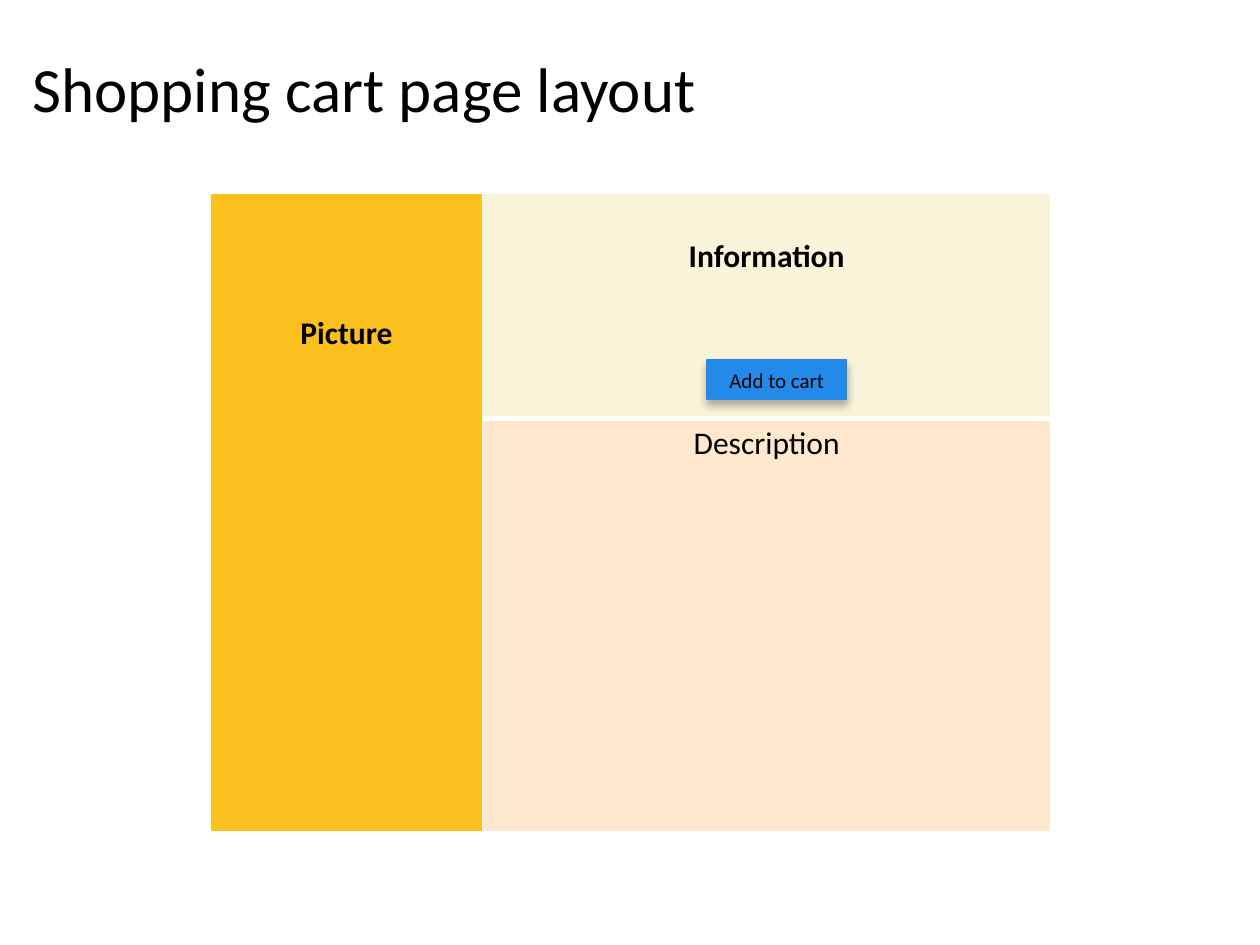
from lxml.etree import SubElement
from pptx import Presentation
from pptx.dml.color import RGBColor
from pptx.enum.shapes import MSO_SHAPE
from pptx.enum.text import MSO_ANCHOR, PP_ALIGN
from pptx.oxml.ns import qn
from pptx.util import Inches, Pt

FONT = "Calibri"
LINE_HEIGHT = 0.305  # one line of 18 pt text, in inches
COLUMNS = (2.16, 4.51)
ROWS = (1.79, 3.28)
TABLE_LEFT, TABLE_TOP = 1.67, 1.53


def color(value):
    return RGBColor.from_string(value)


def write(frame, text, size, bold=False, align=PP_ALIGN.LEFT):
    frame.word_wrap = True
    paragraph = frame.paragraphs[0]
    paragraph.alignment = align
    run = paragraph.add_run()
    run.text = text
    run.font.name = FONT
    run.font.size = Pt(size)
    run.font.bold = bold
    run.font.color.rgb = color("000000")


def add_title(slide, text):
    box = slide.shapes.add_textbox(Inches(0.16), Inches(0.14), Inches(9.09), Inches(0.9))
    box.text_frame.vertical_anchor = MSO_ANCHOR.BOTTOM
    write(box.text_frame, text, 36)


def set_borders(cell, top=1, bottom=1):
    """Draw white cell borders, with widths in points."""
    properties = cell._tc.get_or_add_tcPr()
    for side, width in (("L", 1), ("R", 1), ("T", top), ("B", bottom)):
        line = SubElement(properties, qn(f"a:ln{side}"), w=str(Pt(width)))
        fill = SubElement(line, qn("a:solidFill"))
        SubElement(fill, qn("a:srgbClr"), val="FFFFFF")


def fill_cell(cell, text, fill, bold=True, lines_above=0):
    """Write a label below the given number of empty line heights."""
    cell.fill.solid()
    cell.fill.fore_color.rgb = color(fill)
    cell.margin_top = Inches(0.05 + lines_above * LINE_HEIGHT)
    write(cell.text_frame, text, 18, bold, PP_ALIGN.CENTER)


def add_layout_table(slide):
    table = slide.shapes.add_table(
        len(ROWS), len(COLUMNS), Inches(TABLE_LEFT), Inches(TABLE_TOP),
        Inches(sum(COLUMNS)), Inches(sum(ROWS))).table
    table.first_row = table.horz_banding = False
    for column, width in zip(table.columns, COLUMNS):
        column.width = Inches(width)
    for row, height in zip(table.rows, ROWS):
        row.height = Inches(height)

    picture, information, description = table.cell(0, 0), table.cell(0, 1), table.cell(1, 1)
    picture.merge(table.cell(1, 0))
    for cell in (picture, table.cell(1, 0)):
        set_borders(cell)
    set_borders(information, bottom=3)
    set_borders(description, top=3)
    fill_cell(picture, "Picture", "FBC01E", lines_above=3)
    fill_cell(information, "Information", "F9F3DA", lines_above=1)
    fill_cell(description, "Description", "FDE8CD", bold=False)


def add_shadow(shape):
    shape.shadow.inherit = False
    effects = shape._element.spPr.find(qn("a:effectLst"))
    shadow = SubElement(effects, qn("a:outerShdw"), blurRad=str(Pt(5)),
                        dist=str(Pt(3)), dir=str(90 * 60000), rotWithShape="0")
    tint = SubElement(shadow, qn("a:srgbClr"), val="000000")
    SubElement(tint, qn("a:alpha"), val="30000")


def add_button(slide, text):
    button = slide.shapes.add_shape(
        MSO_SHAPE.RECTANGLE, Inches(5.61), Inches(2.86), Inches(1.11), Inches(0.31))
    button.fill.solid()
    button.fill.fore_color.rgb = button.line.color.rgb = color("248AEA")
    button.line.width = Pt(1)
    add_shadow(button)
    button.text_frame.vertical_anchor = MSO_ANCHOR.MIDDLE
    write(button.text_frame, text, 12, align=PP_ALIGN.CENTER)


def main():
    presentation = Presentation()
    presentation.slide_width, presentation.slide_height = Inches(10), Inches(7.5)
    slide = presentation.slides.add_slide(presentation.slide_layouts[6])
    add_title(slide, "Shopping cart page layout")
    add_layout_table(slide)
    add_button(slide, "Add to cart")
    presentation.save("out.pptx")


if __name__ == "__main__":
    main()
